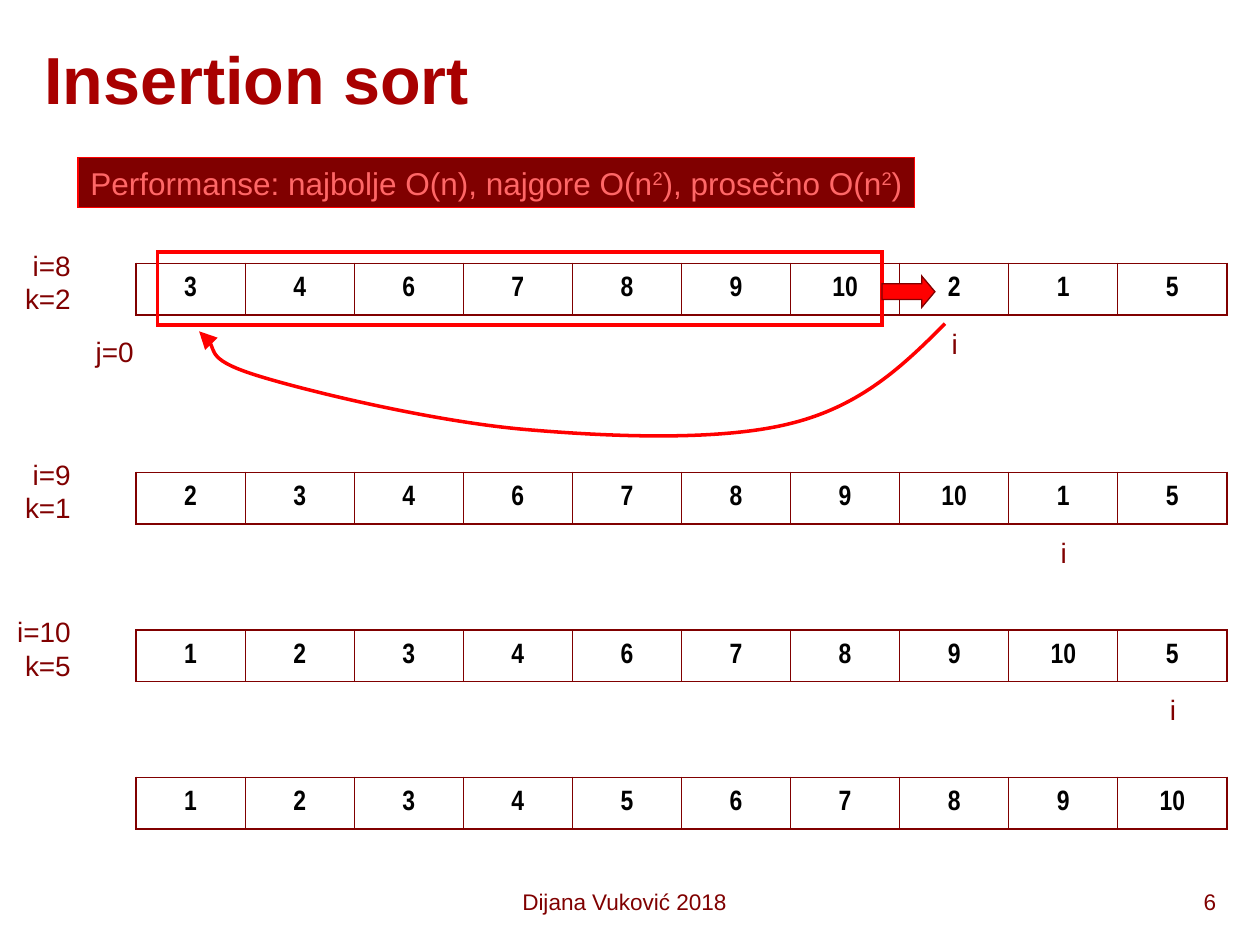
from lxml import etree
from pptx import Presentation
from pptx.dml.color import RGBColor
from pptx.enum.shapes import MSO_SHAPE
from pptx.enum.text import MSO_ANCHOR, PP_ALIGN
from pptx.oxml.ns import qn
from pptx.util import Inches, Pt

COLORS = {"maroon": "800000", "title": "A80000", "red": "FF0000",
          "pink": "FF6767", "black": "000000"}

# Content: carets enclose superscripts
TITLE = "Insertion sort"
PERFORMANCE = "Performanse: najbolje O(n), najgore O(n^2^), prosečno O(n^2^)"
FOOTER = "Dijana Vuković 2018"
PAGE_NUMBER = "6"
STEPS = [  # top, array values, step label, column marked with i
    (2.09, [3, 4, 6, 7, 8, 9, 10, 2, 1, 5], "i=8\nk=2", 7),
    (3.75, [2, 3, 4, 6, 7, 8, 9, 10, 1, 5], "i=9\nk=1", 8),
    (5.0, [1, 2, 3, 4, 6, 7, 8, 9, 10, 5], "i=10\nk=5", 9),
    (6.17, [1, 2, 3, 4, 5, 6, 7, 8, 9, 10], None, None),
]
# Curve in hundredths of an inch, since freeform points are whole numbers
INSERT_START = (750, 257)
INSERT_CURVE = [  # two control points and an end point per segment
    (717, 290), (684, 322), (628, 336),
    (573, 350), (488, 347), (418, 341),
    (347, 335), (250, 312), (207, 299),
    (164, 286), (162, 256), (158, 263),
]
TABLE_LEFT, TABLE_WIDTH, ROW_HEIGHT = 1.08, 8.66, 0.41
INDEX_WIDTH = 0.25


def color(name):
    return RGBColor.from_string(COLORS[name])


def write_text(frame, text, size=16, font="Arial", fill="maroon", bold=False,
               align=PP_ALIGN.LEFT, before=0, wrap=True):
    frame.word_wrap = wrap
    for number, line in enumerate(text.split("\n")):
        paragraph = frame.add_paragraph() if number else frame.paragraphs[0]
        paragraph.alignment = align
        paragraph.space_before = Pt(before)
        for part, piece in enumerate(line.split("^")):
            run = paragraph.add_run()
            run.text = piece
            run.font.size, run.font.name, run.font.bold = Pt(size), font, bold
            run.font.color.rgb = color(fill)
            if part % 2:
                run.font._element.set("baseline", "30000")


def add_label(slide, text, left, top, width, height, **style):
    box = slide.shapes.add_textbox(*map(Inches, (left, top, width, height)))
    write_text(box.text_frame, text, **style)


def add_shape(slide, kind, left, top, width, height, fill, line, line_width):
    shape = slide.shapes.add_shape(kind, *map(Inches, (left, top, width, height)))
    format_shape(shape, fill, line, line_width)
    return shape


def format_shape(shape, fill, line, line_width):
    shape.shadow.inherit = False
    if fill:
        shape.fill.solid()
        shape.fill.fore_color.rgb = color(fill)
    else:
        shape.fill.background()
    shape.line.color.rgb = color(line)
    shape.line.width = Pt(line_width)
    etree.SubElement(shape.line._get_or_add_ln(), qn("a:miter"), lim="800000")


def set_borders(cell, widths):
    properties = cell._tc.get_or_add_tcPr()
    for position, (side, width) in enumerate(widths.items()):
        line = etree.Element(qn(f"a:ln{side}"), w=str(Pt(width)))
        solid = etree.SubElement(line, qn("a:solidFill"))
        etree.SubElement(solid, qn("a:srgbClr"), val=COLORS["maroon"])
        properties.insert(position, line)


def add_array(slide, top, values):
    frame = slide.shapes.add_table(1, len(values), Inches(TABLE_LEFT), Inches(top),
                                   Inches(TABLE_WIDTH), Inches(ROW_HEIGHT))
    table = frame.table
    table.first_row = table.horz_banding = False
    last = len(values) - 1
    for column, value in enumerate(values):
        cell = table.cell(0, column)
        cell.fill.background()
        cell.vertical_anchor = MSO_ANCHOR.MIDDLE
        write_text(cell.text_frame, str(value), font="Arial Narrow", fill="black",
                   bold=True, align=PP_ALIGN.CENTER, before=4)
        set_borders(cell, {"L": 0.45 if column else 1.08,
                           "R": 0.45 if column < last else 1.08,
                           "T": 1.08, "B": 1.08})


def add_curve(slide, start, points):
    builder = slide.shapes.build_freeform(*start, scale=Inches(0.01))
    builder.add_line_segments(points, close=False)
    shape = builder.convert_to_shape()
    format_shape(shape, None, "red", 2)
    # Join each three line segments into one Bézier segment
    lines = list(shape._element.iter(qn("a:lnTo")))
    for first in range(0, len(lines), 3):
        curve = etree.Element(qn("a:cubicBezTo"))
        lines[first].addprevious(curve)
        for line in lines[first:first + 3]:
            curve.append(line[0])
            line.getparent().remove(line)
    etree.SubElement(shape.line._get_or_add_ln(), qn("a:tailEnd"),
                     type="triangle", w="lg", len="lg")


def main():
    presentation = Presentation()
    presentation.slide_width, presentation.slide_height = Inches(10), Inches(7.5)
    slide = presentation.slides.add_slide(presentation.slide_layouts[5])

    # Title
    title = slide.shapes.title
    title.left, title.top, title.width, title.height = map(
        Inches, (0.25, 0.08, 9.5, 1.08))
    title.text_frame.vertical_anchor = MSO_ANCHOR.MIDDLE
    write_text(title.text_frame, TITLE, size=38, fill="title", bold=True)

    # Performance banner
    banner = add_shape(slide, MSO_SHAPE.RECTANGLE, 0.62, 1.25, 6.64, 0.4,
                       "maroon", "red", 0.75)
    write_text(banner.text_frame, PERFORMANCE, size=18, fill="pink", wrap=False)

    # Sorting steps
    for top, values, label, index in STEPS:
        add_array(slide, top, values)
        if label:
            add_label(slide, label, -0.09, top - 0.17, 0.75, 0.64,
                      align=PP_ALIGN.RIGHT)
            center = TABLE_LEFT + (index + 0.5) * TABLE_WIDTH / len(values)
            add_label(slide, "i", center - INDEX_WIDTH / 2, top + 0.45,
                      INDEX_WIDTH, 0.37, align=PP_ALIGN.RIGHT, wrap=False)

    # Shift of the sorted part and insertion of the element
    add_label(slide, "j=0", 0.66, 2.61, 0.5, 0.37, align=PP_ALIGN.RIGHT, wrap=False)
    add_shape(slide, MSO_SHAPE.RECTANGLE, 1.25, 2, 5.75, 0.58, None, "red", 2)
    arrow = add_shape(slide, MSO_SHAPE.RIGHT_ARROW, 7, 2.19, 0.42, 0.25,
                      "red", "maroon", 0.75)
    arrow.adjustments[1] = 0.42
    add_curve(slide, INSERT_START, INSERT_CURVE)

    # Footer
    add_label(slide, FOOTER, 3.74, 7, 2.43, 0.33, size=12.9, align=PP_ALIGN.CENTER)
    add_label(slide, PAGE_NUMBER, 7.75, 7, 2, 0.33, size=12.9, align=PP_ALIGN.RIGHT)

    presentation.save("out.pptx")


if __name__ == "__main__":
    main()
